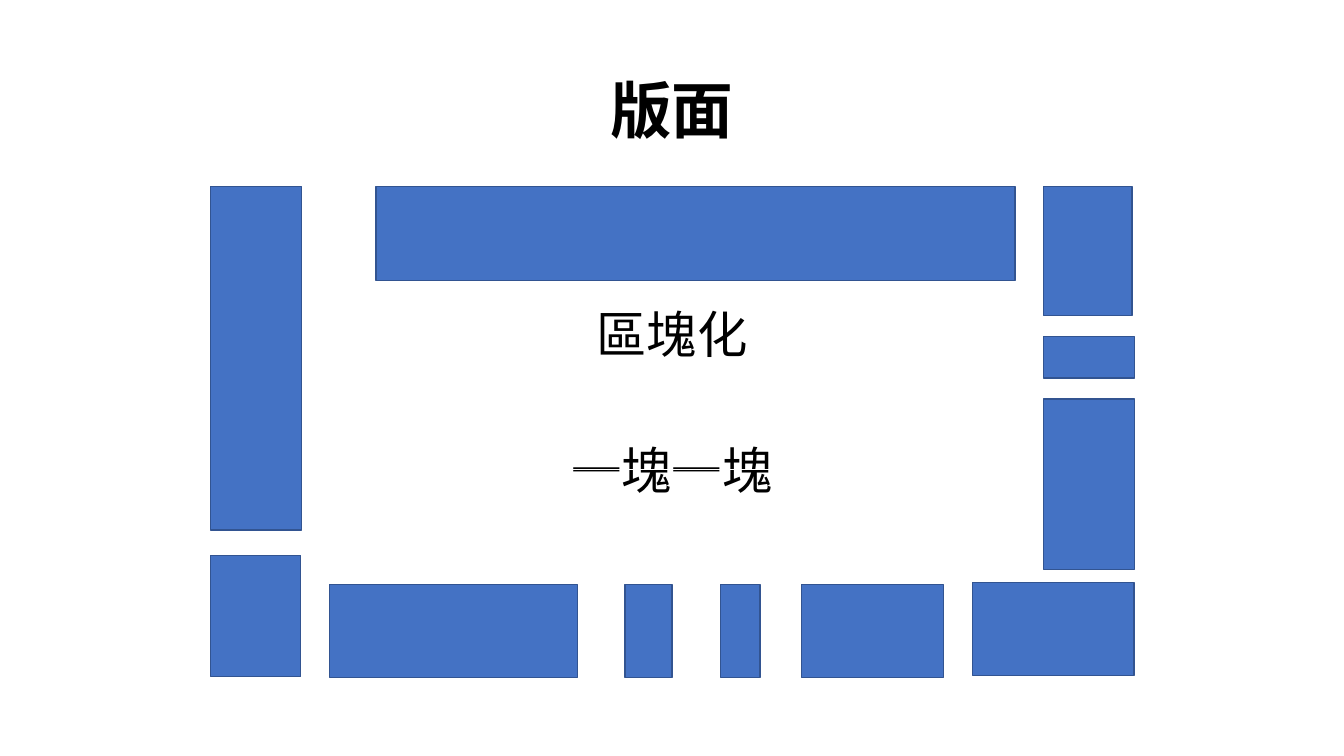
from pptx import Presentation
from pptx.dml.color import RGBColor
from pptx.enum import shapes, text
from pptx.util import Pt

BLACK = RGBColor(0x00, 0x00, 0x00)
WHITE = RGBColor(0xFF, 0xFF, 0xFF)
BLUE = RGBColor(0x44, 0x72, 0xC4)
DARK_BLUE = RGBColor(0x32, 0x54, 0x91)

LEFT, WIDTH = 66, 828
FRAME_LEFT, FRAME_TOP, RIGHT_COLUMN = 150.5, 133.2, 745.2
BOTTOM_ROW, ROW_HEIGHT = 417.6, 66.2

# left, top, width, height of each block around the text
BLOCKS = [
    (FRAME_LEFT, 396.7, 64.4, 86.7),
    *((left, BOTTOM_ROW, width, ROW_HEIGHT) for left, width in
      [(235.4, 177.1), (446.4, 33.8), (514.8, 28.1), (572.4, 101.5)]),
    (FRAME_LEFT, FRAME_TOP, 65, 245.5),
    (694.8, 416.2, 115.2, ROW_HEIGHT),
    (RIGHT_COLUMN, FRAME_TOP, 63.4, 92.2),
    (RIGHT_COLUMN, 285.1, 65, 121.7),
    (RIGHT_COLUMN, 240.5, 65, 29.5),
    (268.6, FRAME_TOP, 456.5, 67),
]


def place(box, left, top, width, height):
    box.left, box.top, box.width, box.height = map(Pt, (left, top, width, height))


def write(box, lines, size, bold=False, gap=0, anchor=text.MSO_ANCHOR.TOP):
    """Fill the box with centred lines, with gap points before each later one."""
    frame = box.text_frame
    frame.word_wrap = True
    frame.auto_size = text.MSO_AUTO_SIZE.NONE
    frame.vertical_anchor = anchor
    for index, line in enumerate(lines):
        para = frame.add_paragraph() if index else frame.paragraphs[0]
        para.alignment = text.PP_ALIGN.CENTER
        para.line_spacing = 0.9
        para.space_before = Pt(gap if index else 0)
        span = para.add_run()
        span.text = line
        span.font.name = "Calibri"
        span.font.size = Pt(size)
        span.font.bold = bold
        span.font.color.rgb = BLACK


def add_block(page, bounds, line, weight, fill=None):
    block = page.shapes.add_shape(shapes.MSO_SHAPE.RECTANGLE, *map(Pt, bounds))
    block.shadow.inherit = False
    if fill is None:
        block.fill.background()
    else:
        block.fill.solid()
        block.fill.fore_color.rgb = fill
    block.line.color.rgb = line
    block.line.width = Pt(weight)


def main():
    deck = Presentation()
    deck.slide_width, deck.slide_height = Pt(960), Pt(540)
    page = deck.slides.add_slide(deck.slide_layouts.get_by_name("Title Only"))

    title = page.shapes.title
    place(title, LEFT, 28.8, WIDTH, 104.4)
    write(title, ["版面"], 44, bold=True, anchor=text.MSO_ANCHOR.MIDDLE)

    body = page.shapes.add_textbox(Pt(LEFT), Pt(218.2), Pt(WIDTH), Pt(147.6))
    write(body, ["區塊化", "一塊一塊"], 36, gap=58)

    add_block(page, (LEFT, 291.6, WIDTH, 43.9), WHITE, 0.75)
    for bounds in BLOCKS:
        add_block(page, bounds, DARK_BLUE, 1, fill=BLUE)

    deck.save("out.pptx")


if __name__ == "__main__":
    main()
